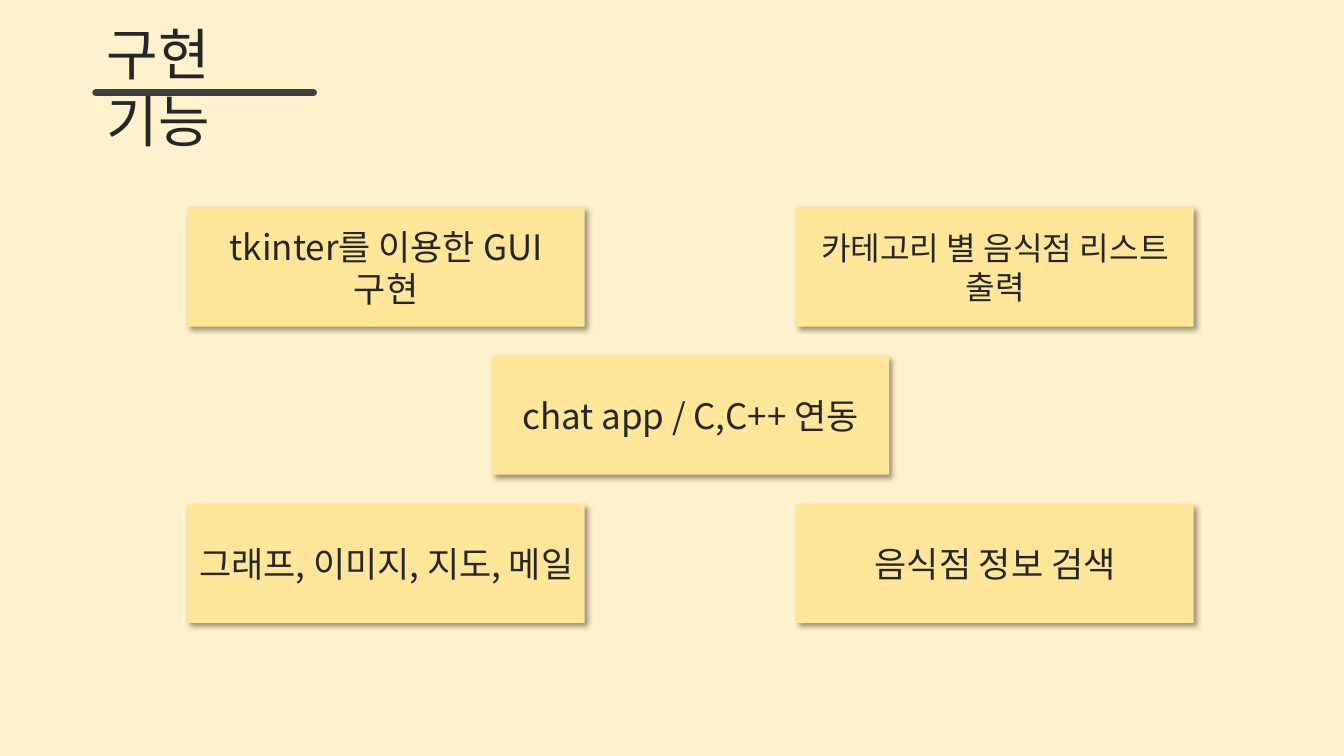
from lxml import etree
from pptx import Presentation
from pptx.dml.color import RGBColor
from pptx.enum.shapes import MSO_CONNECTOR, MSO_SHAPE
from pptx.enum.text import MSO_ANCHOR, MSO_AUTO_SIZE, PP_ALIGN
from pptx.oxml.ns import qn
from pptx.util import Inches, Pt

RECT = MSO_SHAPE.RECTANGLE
STRAIGHT = MSO_CONNECTOR.STRAIGHT
TOP, MIDDLE = MSO_ANCHOR.TOP, MSO_ANCHOR.MIDDLE
LEFT, CENTER = PP_ALIGN.LEFT, PP_ALIGN.CENTER
NO_FIT = MSO_AUTO_SIZE.NONE
TITLE_ONLY = 5

COLORS = {"bg": "FFF2CC", "card": "FFE699", "text": "262626", "rule": "404040", "shadow": "000000"}
FONT = "Noto Sans CJK KR"
GRID_X, GRID_Y = 1.86, 2.06
COL, ROW = 3.02, 1.47
CARD_W, CARD_H = 3.94, 1.18

FEATURES = [
    (0, 0, "tkinter를 이용한 GUI 구현", 25),
    (2, 0, "카테고리 별 음식점 리스트 출력", 23),
    (2, 2, "음식점 정보 검색", 25),
    (0, 2, "그래프, 이미지, 지도, 메일", 25),
    (1, 1, "chat app / C,C++ 연동", 25),
]


def rgb(name):
    """Return the named palette colour."""
    return RGBColor.from_string(COLORS[name])


def write(sp, text, size=25, color="text", align=CENTER, anchor=MIDDLE):
    """Put one formatted line of text into a shape."""
    tf = sp.text_frame
    tf.word_wrap = True
    tf.auto_size = NO_FIT
    tf.vertical_anchor = anchor
    p = tf.paragraphs[0]
    p.alignment = align
    r = p.add_run()
    r.text = text
    r.font.size = Pt(size)
    r.font.name = FONT
    r.font.color.rgb = rgb(color)
    etree.SubElement(r.font._element, qn("a:ea"), typeface=FONT)


class FeatureSlide:
    """Holds the current slide and draws its elements."""

    def __init__(self, prs):
        """Add a title-only slide with the background colour."""
        self.slide = prs.slides.add_slide(prs.slide_layouts[TITLE_ONLY])
        self.shapes = self.slide.shapes
        fill = self.slide.background.fill
        fill.solid()
        fill.fore_color.rgb = rgb("bg")

    def title(self, text):
        """Place the title at the top left."""
        sp = self.shapes.title
        sp.left, sp.top = Inches(0.96), Inches(0.14)
        sp.width, sp.height = Inches(2.14), Inches(0.77)
        write(sp, text, size=40, align=LEFT, anchor=TOP)

    def rule(self, x1, x2, y, weight=5):
        """Draw a horizontal line with round ends."""
        line = self.shapes.add_connector(STRAIGHT, Inches(x1), Inches(y), Inches(x2), Inches(y))
        line.line.color.rgb = rgb("rule")
        line.line.width = Pt(weight)
        line.line._get_or_add_ln().set("cap", "rnd")
        etree.SubElement(line._element.spPr, qn("a:effectLst"))

    def card(self, col, row, text, size):
        """Draw a shadowed card on the grid."""
        sp = self.shapes.add_shape(RECT, Inches(GRID_X + col * COL), Inches(GRID_Y + row * ROW),
                                   Inches(CARD_W), Inches(CARD_H))
        sp.fill.solid()
        sp.fill.fore_color.rgb = rgb("card")
        sp.line.fill.background()
        self.shadow(sp)
        write(sp, text, size=size)

    def shadow(self, sp, blur=4, dist=3, angle=45, alpha=40):
        """Give a shape a soft outer shadow."""
        sp.shadow.inherit = False
        effects = sp._element.spPr.find(qn("a:effectLst"))
        outer = etree.SubElement(effects, qn("a:outerShdw"), blurRad=str(Pt(blur)), dist=str(Pt(dist)),
                                 dir=str(angle * 60000), algn="tl", rotWithShape="0")
        color = etree.SubElement(outer, qn("a:srgbClr"), val=COLORS["shadow"])
        etree.SubElement(color, qn("a:alpha"), val=str(alpha * 1000))


def main():
    """Build and save the slide."""
    prs = Presentation()
    prs.slide_width, prs.slide_height = Inches(13.33), Inches(7.5)
    s = FeatureSlide(prs)
    s.title("구현 기능")
    s.rule(0.95, 3.11, 0.92)
    for feature in FEATURES:
        s.card(*feature)
    prs.save("out.pptx")


if __name__ == "__main__":
    main()
